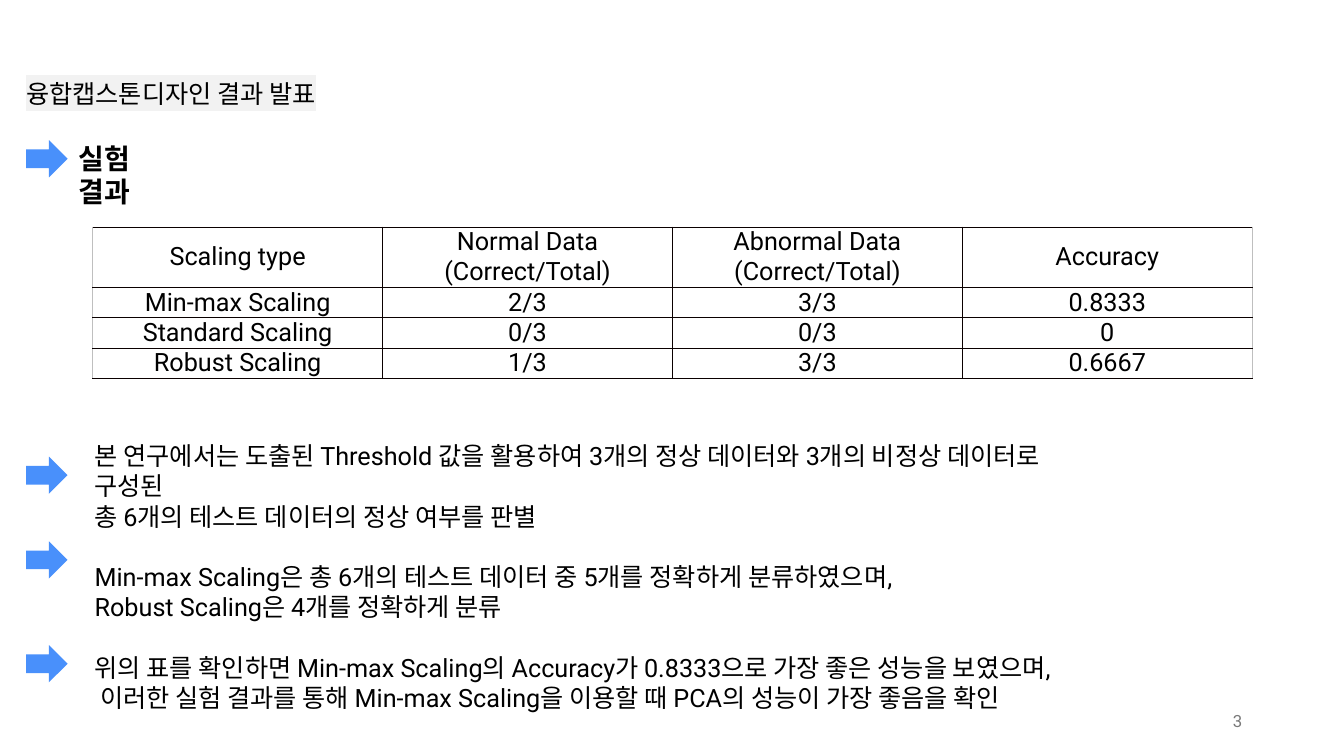
from lxml.etree import SubElement
from pptx import Presentation
from pptx.dml.color import RGBColor
from pptx.enum.shapes import MSO_SHAPE
from pptx.enum.text import MSO_ANCHOR, PP_ALIGN
from pptx.oxml.ns import qn
from pptx.util import Inches, Pt

INK, GRID, EDGE, BLUE = "000000", "0A0000", "BFBFBF", "4990FB"

ROWS = [
    ["Scaling type", "Normal Data\n(Correct/Total)",
     "Abnormal Data\n(Correct/Total)", "Accuracy"],
    ["Min-max Scaling", "2/3", "3/3", "0.8333"],
    ["Standard Scaling", "0/3", "0/3", "0"],
    ["Robust Scaling", "1/3", "3/3", "0.6667"],
]

GROUPS = [
    ["본 연구에서는 도출된 Threshold 값을 활용하여 3개의 정상 데이터와 3개의 비정상 데이터로 구성된",
     "총 6개의 테스트 데이터의 정상 여부를 판별"],
    ["Min-max Scaling은 총 6개의 테스트 데이터 중 5개를 정확하게 분류하였으며,",
     "Robust Scaling은 4개를 정확하게 분류"],
    ["위의 표를 확인하면 Min-max Scaling의 Accuracy가 0.8333으로 가장 좋은 성능을 보였으며,",
     " 이러한 실험 결과를 통해 Min-max Scaling을 이용할 때 PCA의 성능이 가장 좋음을 확인"],
]


def paint(target, color):
    """Give a fill or font colour format a solid hex colour."""
    if hasattr(target, "solid"):
        target.solid()
        target = target.fore_color
    target.rgb = RGBColor.from_string(color)


def style(obj, values):
    """Set each attribute named in a dict."""
    for name, value in values.items():
        setattr(obj, name, value)


def box(area):
    """Turn left, top, width and height into lengths."""
    return [Inches(n) for n in area]


def write(frame, lines, size=18, font="Roboto", color=INK, bold=False,
          align=PP_ALIGN.LEFT):
    """Fill a text frame with one styled paragraph a line."""
    for i, line in enumerate(lines):
        para = frame.paragraphs[0] if i == 0 else frame.add_paragraph()
        para.alignment = align
        run = para.add_run()
        run.text = line
        style(run.font, {"size": Pt(size), "name": font, "bold": bold})
        paint(run.font.color, color)


def add_title(slide, text, area):
    """Place the title and give its words a grey highlight."""
    title = slide.shapes.title
    style(title, dict(zip(("left", "top", "width", "height"), box(area))))
    frame = title.text_frame
    style(frame, {"vertical_anchor": MSO_ANCHOR.TOP, "word_wrap": True})
    write(frame, [text], font="Lato")
    props = frame.paragraphs[0].runs[0].font._element
    mark = SubElement(props, qn("a:highlight"))
    SubElement(mark, qn("a:srgbClr"), val="F2F2F2")
    props.find(qn("a:solidFill")).addnext(mark)


def add_text(slide, lines, area, anchor=MSO_ANCHOR.TOP, **look):
    """Add a wrapping text box and return its frame."""
    frame = slide.shapes.add_textbox(*box(area)).text_frame
    style(frame, {"word_wrap": True, "vertical_anchor": anchor})
    write(frame, lines, **look)
    return frame


def add_body(slide, area):
    """Add the findings with a one-line gap before each later group."""
    frame = add_text(slide, sum(GROUPS, []), area)
    start = 0
    for group in GROUPS[:-1]:
        start += len(group)
        frame.paragraphs[start].space_before = Pt(21.6)


def add_arrow(slide, top):
    """Add a blue arrow at the left margin."""
    arrow = slide.shapes.add_shape(MSO_SHAPE.RIGHT_ARROW,
                                   *box((0.26, top, 0.41, 0.37)))
    arrow.shadow.inherit = False
    paint(arrow.fill, BLUE)
    arrow.line.fill.background()


def add_rule(props, side, color, width):
    """Draw one border of a table cell."""
    rule = SubElement(props, qn("a:ln" + side), w=str(Pt(width)))
    fill = SubElement(rule, qn("a:solidFill"))
    SubElement(fill, qn("a:srgbClr"), val=color)


def add_grid(slide, area):
    """Add the results table with thin rules and pale outer sides."""
    last = len(ROWS[0]) - 1
    table = slide.shapes.add_table(len(ROWS), last + 1, *box(area)).table
    style(table, {"first_row": False, "horz_banding": False})
    for r, row in enumerate(ROWS):
        table.rows[r].height = Inches(0.3 * (2 if r == 0 else 1))
        for c, text in enumerate(row):
            cell = table.cell(r, c)
            style(cell, {"vertical_anchor": MSO_ANCHOR.MIDDLE,
                         "margin_left": Inches(0.05),
                         "margin_right": Inches(0.05),
                         "margin_top": 0, "margin_bottom": 0})
            write(cell.text_frame, text.split("\n"), align=PP_ALIGN.CENTER)
            props = cell._tc.get_or_add_tcPr()
            for side in "LRTB":
                outer = (side, c) in (("L", 0), ("R", last))
                add_rule(props, side, *((EDGE, 0.75) if outer else (GRID, 0.3)))
            paint(cell.fill, "FFFFFF")


def main():
    """Build and save the slide."""
    deck = Presentation()
    style(deck, {"slide_width": Inches(13.33), "slide_height": Inches(7.5)})
    slide = deck.slides.add_slide(deck.slide_layouts[5])
    add_title(slide, "융합캡스톤디자인 결과 발표", (0.16, 0.73, 7.81, 0.4))
    add_text(slide, ["3"], (9.42, 6.95, 3, 0.4), MSO_ANCHOR.MIDDLE,
             size=12, color="797979", align=PP_ALIGN.RIGHT)
    add_text(slide, ["실험 결과"], (0.68, 1.35, 1, 0.44), size=20, bold=True)
    add_grid(slide, (0.92, 2.25, 11.5, 1.5))
    add_body(slide, (0.84, 4.32, 9.8, 2.83))
    for top in (1.39, 4.53, 5.37, 6.4):
        add_arrow(slide, top)
    deck.save("out.pptx")


if __name__ == "__main__":
    main()
